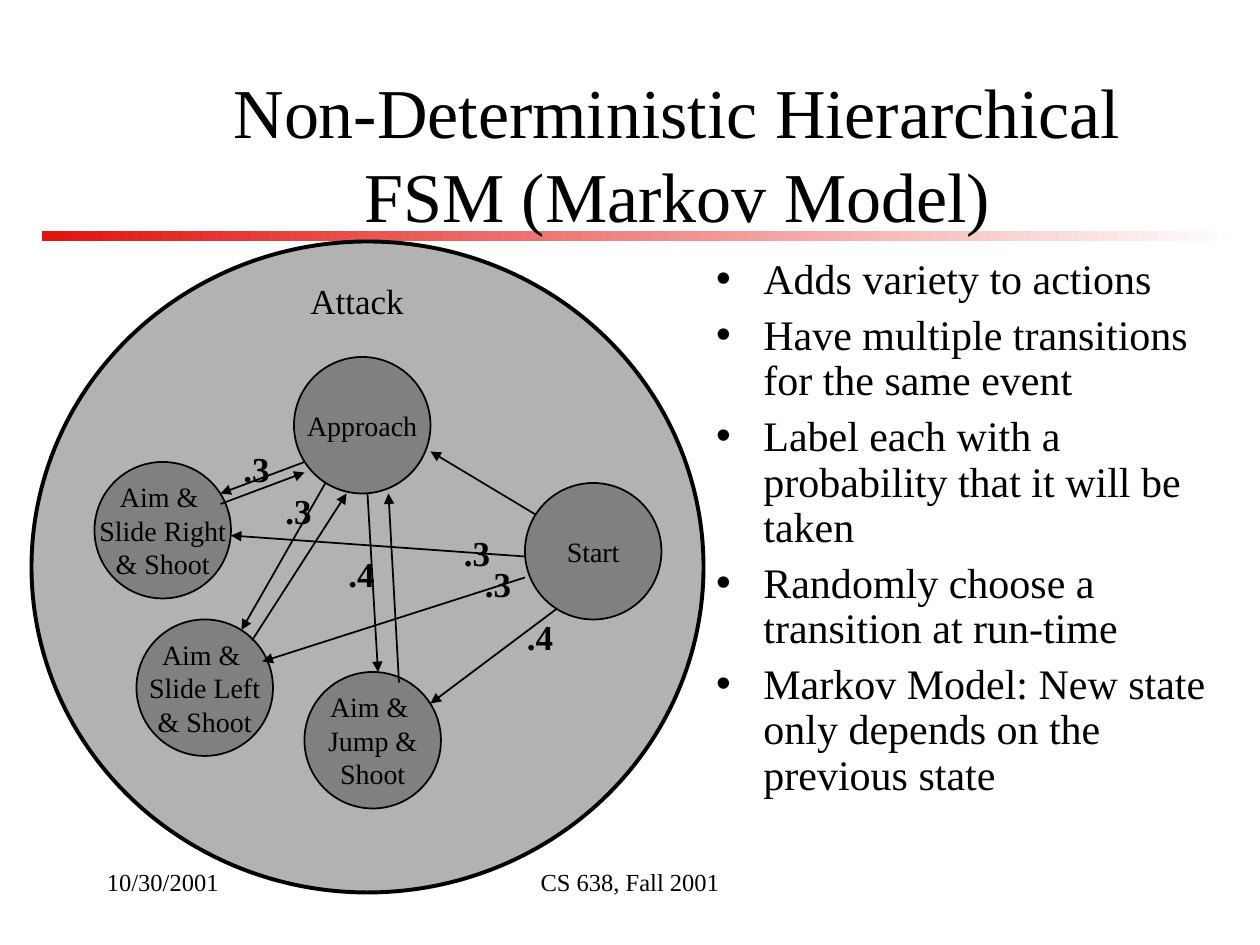
from dataclasses import dataclass

from lxml import etree
from pptx import Presentation
from pptx.dml.color import RGBColor
from pptx.enum.shapes import MSO_CONNECTOR, MSO_SHAPE
from pptx.enum.text import MSO_ANCHOR, MSO_AUTO_SIZE, PP_ALIGN
from pptx.oxml.ns import qn
from pptx.util import Pt

PX = 9525  # EMU per px, 96 px to the inch
OVAL, RECT = MSO_SHAPE.OVAL, MSO_SHAPE.RECTANGLE
LINE = MSO_CONNECTOR.STRAIGHT
LEFT, MID = PP_ALIGN.LEFT, PP_ALIGN.CENTER
TOP, CENTER = MSO_ANCHOR.TOP, MSO_ANCHOR.MIDDLE
FIXED, GROW = MSO_AUTO_SIZE.NONE, MSO_AUTO_SIZE.SHAPE_TO_FIT_TEXT


@dataclass(frozen=True)
class Theme:
    font: str = "Times New Roman"
    ink: RGBColor = RGBColor(0, 0, 0)
    paper: RGBColor = RGBColor(255, 255, 255)
    red: RGBColor = RGBColor(0xDF, 0x14, 0x0F)
    pale: RGBColor = RGBColor(0xB2, 0xB2, 0xB2)
    dark: RGBColor = RGBColor(0x80, 0x80, 0x80)
    title: int = 40
    body: int = 24
    label: int = 20
    state: int = 16
    foot: int = 14
    thick: float = 2.25
    thin: float = 1


def apply(item, style):
    for name, value in style.items():
        setattr(item, name, value)


def scale(*sizes):
    return [size * PX for size in sizes]


class Board:
    def __init__(self, slide, theme):
        self.slide, self.theme = slide, theme
        self.shapes = slide.shapes

    def words(self, frame, lines, size, bold=False, para=None, **style):
        apply(frame, {"word_wrap": True, "auto_size": FIXED, **style})
        frame.text = "\n".join(lines)
        for par in frame.paragraphs:
            apply(par, para or {})
            for run in par.runs:
                apply(run.font, {"name": self.theme.font, "size": Pt(size),
                                 "bold": bold})
                run.font.color.rgb = self.theme.ink

    def holder(self, index, box, lines, size, para, anchor):
        item = self.slide.placeholders[index]
        apply(item, dict(zip(("left", "top", "width", "height"), scale(*box))))
        self.words(item.text_frame, lines, size, para=para,
                   vertical_anchor=anchor)

    def text(self, box, line, size, bold=False, para=None, fit=FIXED):
        item = self.shapes.add_textbox(*scale(*box))
        self.words(item.text_frame, [line], size, bold, para, auto_size=fit)

    def rule(self, box):
        """Draw the fading bar behind everything else."""
        bar = self.shapes.add_shape(RECT, *scale(*box))
        bar.shadow.inherit = False
        bar.line.fill.background()
        bar.fill.gradient()
        bar.fill.gradient_angle = 0
        for stop, tint in zip(bar.fill.gradient_stops,
                              (self.theme.red, self.theme.paper)):
            stop.color.rgb = tint
        self.shapes.title.element.addprevious(bar.element)

    def oval(self, box, fill, width):
        item = self.shapes.add_shape(OVAL, *scale(*box))
        item.shadow.inherit = False
        item.fill.solid()
        item.fill.fore_color.rgb = fill
        item.line.color.rgb = self.theme.ink
        item.line.width = Pt(width)
        return item

    def state(self, left, top, lines):
        item = self.oval((left, top, 104, 104), self.theme.dark,
                         self.theme.thin)
        self.words(item.text_frame, lines, self.theme.state,
                   para={"alignment": MID}, word_wrap=False,
                   vertical_anchor=CENTER)

    def arrow(self, *ends):
        item = self.shapes.add_connector(LINE, *scale(*ends))
        item.line.color.rgb = self.theme.ink
        item.line.width = Pt(self.theme.thin)
        props = item.element.spPr
        etree.SubElement(props.find(qn("a:ln")), qn("a:tailEnd"),
                         type="triangle")
        etree.SubElement(props, qn("a:effectLst"))


STATES = [
    (400, 368, ["Start"]),
    (224, 272, ["Approach"]),
    (232, 512, ["Aim & ", "Jump &", "Shoot"]),
    (104, 472, ["Aim & ", "Slide Left", "& Shoot"]),
    (72, 352, ["Aim & ", "Slide Right", "& Shoot"]),
]
ARROWS = [
    (408, 392, 328, 344),
    (424, 464, 328, 536),
    (280, 376, 288, 512),
    (304, 520, 296, 376),
    (400, 440, 200, 504),
    (248, 368, 184, 480),
    (192, 488, 264, 376),
    (400, 424, 176, 408),
    (232, 352, 168, 376),
    (168, 384, 232, 360),
]
ODDS = [
    (344, 400, ".3"),
    (360, 424, ".3"),
    (392, 464, ".4"),
    (208, 368, ".3"),
    (176, 336, ".3"),
    (256, 416, ".4"),
]
POINTS = [
    "Adds variety to actions",
    "Have multiple transitions for the same event",
    "Label each with a probability that it will be taken",
    "Randomly choose a transition at run-time",
    "Markov Model: New state only depends on the previous state",
]


def main():
    deck = Presentation()
    deck.slide_width, deck.slide_height = scale(960, 720)
    theme = Theme()
    board = Board(deck.slides.add_slide(deck.slide_layouts[1]), theme)

    board.rule((32, 176, 912, 8))
    board.holder(0, (128, 64, 776, 104),
                 ["Non-Deterministic Hierarchical\vFSM (Markov Model)"],
                 theme.title, {"alignment": MID}, CENTER)
    board.holder(1, (536, 192, 408, 432), POINTS, theme.body,
                 {"alignment": LEFT, "line_spacing": 0.9,
                  "space_before": Pt(6)}, TOP)

    board.oval((24, 184, 512, 496), theme.pale, theme.thick)
    gap = {"space_before": Pt(12.5)}
    board.text((160, 208, 224, 42), "Attack", theme.label,
               para={"alignment": MID, **gap}, fit=GROW)
    for state in STATES:
        board.state(*state)
    for ends in ARROWS:
        board.arrow(*ends)
    for left, top, odds in ODDS:
        board.text((left, top, 40, 42), odds, theme.label, True, gap, GROW)

    board.text((328, 656, 304, 48), "CS 638, Fall 2001", theme.foot,
               para={"alignment": MID})
    board.text((72, 656, 200, 48), "10/30/2001", theme.foot)
    deck.save("out.pptx")


if __name__ == "__main__":
    main()
